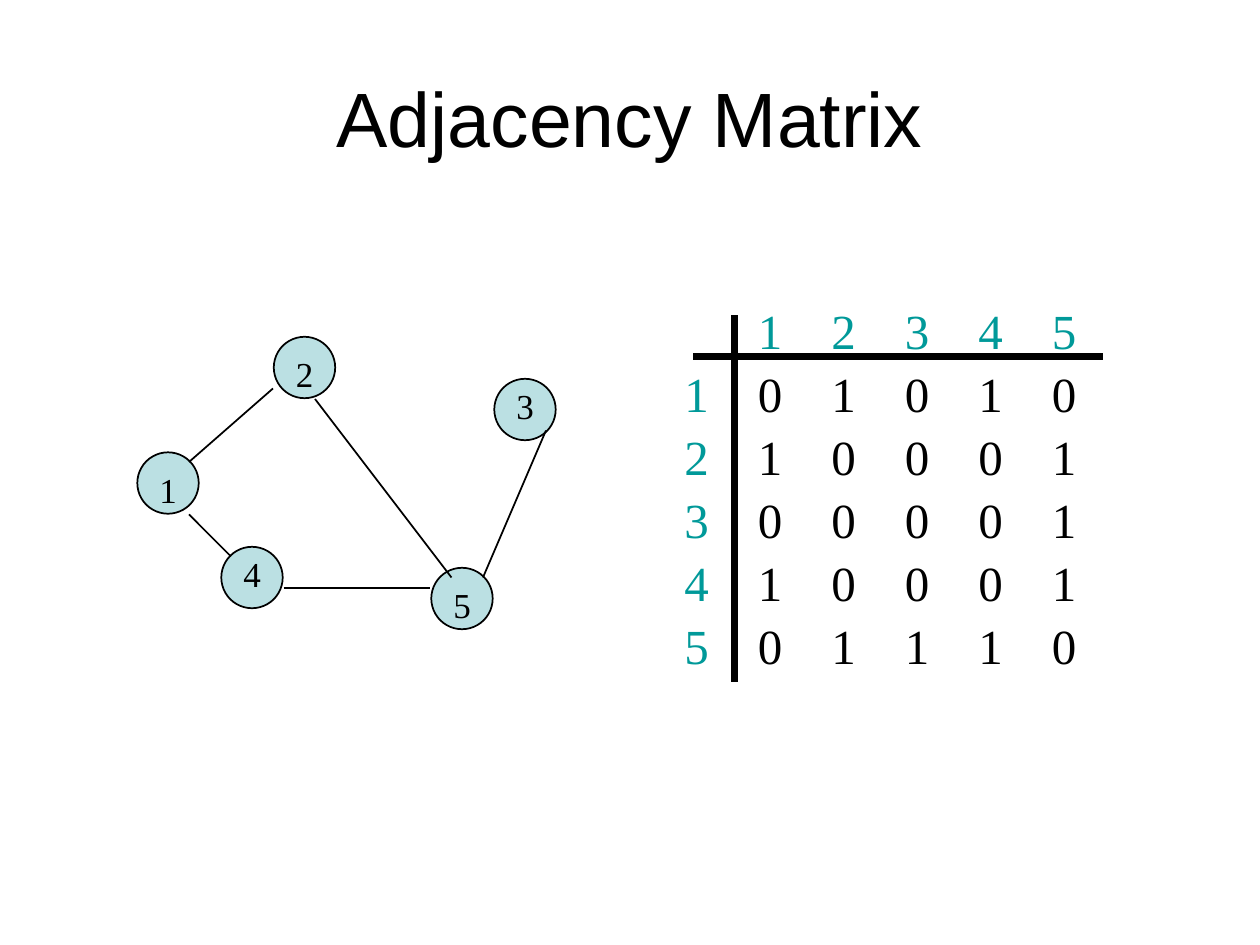
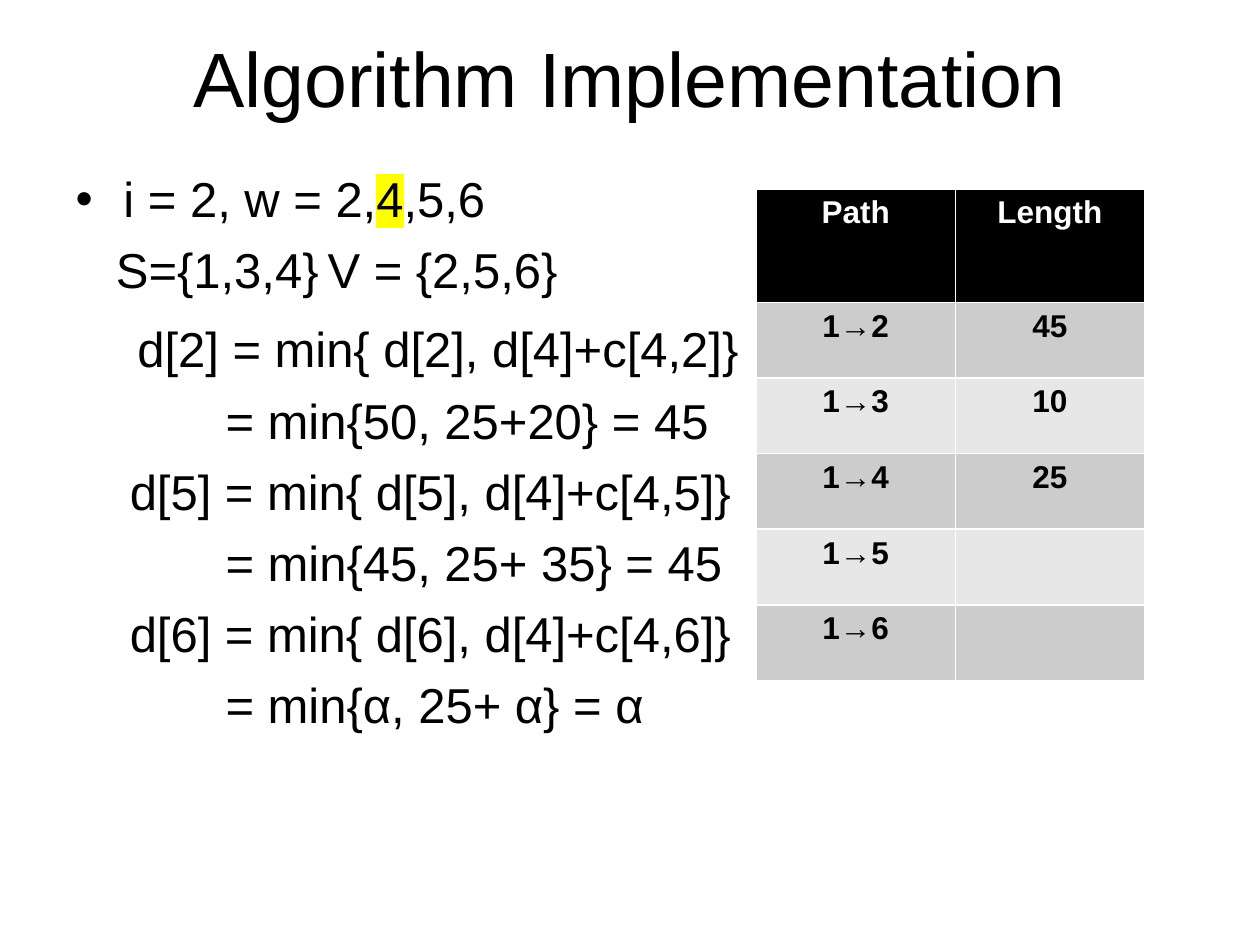
from lxml.etree import SubElement
from pptx import Presentation
from pptx.dml.color import RGBColor
from pptx.enum.shapes import MSO_CONNECTOR, MSO_SHAPE
from pptx.enum.text import MSO_ANCHOR, MSO_AUTO_SIZE, PP_ALIGN
from pptx.oxml.ns import qn
from pptx.util import Inches, Pt

BLACK = RGBColor(0x00, 0x00, 0x00)
WHITE = RGBColor(0xFF, 0xFF, 0xFF)
TEAL = RGBColor(0x00, 0x99, 0x99)
NODE_BLUE = RGBColor(0xBB, 0xE0, 0xE3)
DARK_BAND = RGBColor(0xCC, 0xCC, 0xCC)
LIGHT_BAND = RGBColor(0xE7, 0xE7, 0xE7)
HIGHLIGHT = RGBColor(0xFF, 0xFF, 0x00)

SANS, SERIF = "Arial", "Times New Roman"
GRID_COLUMNS, GRID_ROWS = 120, 90
TITLE_ONLY, TITLE_AND_BODY = 5, 1


class SlideBuilder:
    """Hold the deck's style and current page, measuring in grid columns and rows."""

    def __init__(self):
        self.deck = Presentation()
        self.deck.slide_width, self.deck.slide_height = Inches(10), Inches(7.5)
        self.page = None

    def across(self, columns):
        return round(self.deck.slide_width * columns / GRID_COLUMNS)

    def down(self, rows):
        return round(self.deck.slide_height * rows / GRID_ROWS)

    def frame(self, left, top, width, height):
        return self.across(left), self.down(top), self.across(width), self.down(height)

    def style(self, para, size, color=BLACK, name=SANS, bold=False):
        font = para.font
        font.size, font.name, font.bold = Pt(size), name, bold
        font.color.rgb = color

    def place(self, holder, *grid):
        holder.left, holder.top, holder.width, holder.height = self.frame(*grid)
        holder.text_frame.auto_size = MSO_AUTO_SIZE.NONE

    def new_page(self, layout, title, title_height):
        self.page = self.deck.slides.add_slide(self.deck.slide_layouts[layout])
        holder = self.page.shapes.title
        self.place(holder, 6, 3.6, 108, title_height)
        holder.text_frame.vertical_anchor = MSO_ANCHOR.MIDDLE
        para = holder.text_frame.paragraphs[0]
        para.text, para.alignment = title, PP_ALIGN.CENTER
        self.style(para, 44)

    def node(self, left, top):
        inset, diameter = 0.08, 5.85
        circle = self.page.shapes.add_shape(
            MSO_SHAPE.OVAL, *self.frame(left + inset, top + inset, diameter, diameter))
        circle.shadow.inherit = False
        circle.fill.solid()
        circle.fill.fore_color.rgb = NODE_BLUE
        circle.line.color.rgb, circle.line.width = BLACK, Pt(1)

    def line(self, start, end, weight=1):
        rule = self.page.shapes.add_connector(
            MSO_CONNECTOR.STRAIGHT, self.across(start[0]), self.down(start[1]),
            self.across(end[0]), self.down(end[1]))
        rule.line.color.rgb, rule.line.width = BLACK, Pt(weight)
        SubElement(rule._element.spPr, qn("a:effectLst"))

    def label(self, text, left, top, width, height, size, color=BLACK):
        box = self.page.shapes.add_textbox(*self.frame(left, top, width, height))
        box.text_frame.word_wrap = True
        box.text_frame.auto_size = MSO_AUTO_SIZE.SHAPE_TO_FIT_TEXT
        para = box.text_frame.paragraphs[0]
        para.text = text
        self.style(para, size, color, SERIF)

    def body(self, lines):
        holder = self.page.placeholders[1]
        self.place(holder, 6, 15, 108, 69)
        frame = holder.text_frame
        frame.margin_top = Inches(0.09)
        for index, (indent, before, spans) in enumerate(lines):
            para = frame.paragraphs[0] if index == 0 else frame.add_paragraph()
            self.indent(para, indent, bullet=index == 0)
            para.space_before = Pt(before)
            for text, marked in spans:
                span = para.add_run()
                span.text = text
                if marked:
                    mark = SubElement(span._r.get_or_add_rPr(), qn("a:highlight"))
                    SubElement(mark, qn("a:srgbClr"), val=str(HIGHLIGHT))
            self.style(para, 28)

    def indent(self, para, indent, bullet):
        properties = para._p.get_or_add_pPr()
        properties.set("marL", str(Inches(-indent if bullet else 0)))
        properties.set("indent", str(Inches(indent)))
        if bullet:
            SubElement(properties, qn("a:buChar"), char="•")
        else:
            SubElement(properties, qn("a:buNone"))
            tabs = SubElement(properties, qn("a:tabLst"))
            SubElement(tabs, qn("a:tab"), pos=str(Inches(2.69)), algn="l")

    def table(self, rows, left, top, widths, heights):
        grid = self.page.shapes.add_table(
            len(rows), len(widths),
            *self.frame(left, top, sum(widths), sum(heights))).table
        for column, width in zip(grid.columns, widths):
            column.width = self.across(width)
        for index, (row, height, texts) in enumerate(zip(grid.rows, heights, rows)):
            row.height = self.down(height)
            band = DARK_BAND if index % 2 else LIGHT_BAND
            for cell, text in zip(row.cells, texts):
                cell.fill.solid()
                cell.fill.fore_color.rgb = band if index else BLACK
                para = cell.text_frame.paragraphs[0]
                para.text, para.alignment = text, PP_ALIGN.CENTER
                self.style(para, 18, BLACK if index else WHITE, bold=True)


def adjacency_matrix(builder):
    """Draw a graph beside its adjacency matrix."""
    builder.new_page(TITLE_ONLY, "Adjacency Matrix", 15)
    nodes = [(13, 43), (26, 32), (47, 36), (21, 52), (41, 54)]
    label_drops = [1, 1, 0, 0, 1]
    edges = [((26, 37), (18, 44)), ((30, 38), (43, 55)), ((18, 49), (22, 53)),
             ((52, 41), (46, 55)), ((27, 56), (41, 56))]
    for left, top in nodes:
        builder.node(left, top)
    for start, end in edges:
        builder.line(start, end)
    for number, ((left, top), drop) in enumerate(zip(nodes, label_drops), 1):
        builder.label(str(number), left + 1, top + drop, 3, 5.2, 20)

    matrix = ["01010", "10001", "00001", "10001", "01110"]
    first_left, first_top, column_step, row_step = 71, 34, 7, 6
    for index, values in enumerate(matrix):
        heading = str(index + 1)
        left = first_left + index * column_step
        top = first_top + index * row_step
        builder.label(heading, left, first_top - row_step, 6, 6.8, 28, TEAL)
        builder.label(heading, first_left - column_step, top, 6, 6.8, 28, TEAL)
        for column, value in enumerate(values):
            builder.label(value, first_left + column * column_step, top, 4, 6.8, 28)
    builder.line((66, 34), (105, 34), 4)
    builder.line((70, 30), (70, 65), 4)


def algorithm_implementation(builder):
    """Show one step of the shortest path algorithm and its table."""
    builder.new_page(TITLE_AND_BODY, "Algorithm Implementation", 7.44)
    result_indent, formula_indent, gap = 1.19, 0.43, 7
    steps = [
        (0.32, gap, "S={1,3,4}\tV = {2,5,6}"),
        (0.49, 11.5, "d[2] = min{ d[2], d[4]+c[4,2]}"),
        (result_indent, gap, "= min{50, 25+20} = 45"),
        (formula_indent, gap, "d[5] = min{ d[5], d[4]+c[4,5]}"),
        (result_indent, gap, "= min{45, 25+ 35} = 45"),
        (formula_indent, gap, "d[6] = min{ d[6], d[4]+c[4,6]}"),
        (result_indent, gap, "= min{α, 25+ α} = α"),
    ]
    opening = (-0.38, 0, [("i = 2, w = 2,", False), ("4", True), (",5,6", False)])
    builder.body([opening] + [(indent, before, [(text, False)])
                              for indent, before, text in steps])
    lengths = ["45", "10", "25", "", ""]
    rows = [("Path", "Length")]
    rows += [(f"1→{target}", length) for target, length in enumerate(lengths, 2)]
    builder.table(rows, 72, 18, [19, 18], [10.8] + [7.2] * len(lengths))


def main():
    """Build both slides and save the deck."""
    builder = SlideBuilder()
    adjacency_matrix(builder)
    algorithm_implementation(builder)
    builder.deck.save("out.pptx")


if __name__ == "__main__":
    main()
